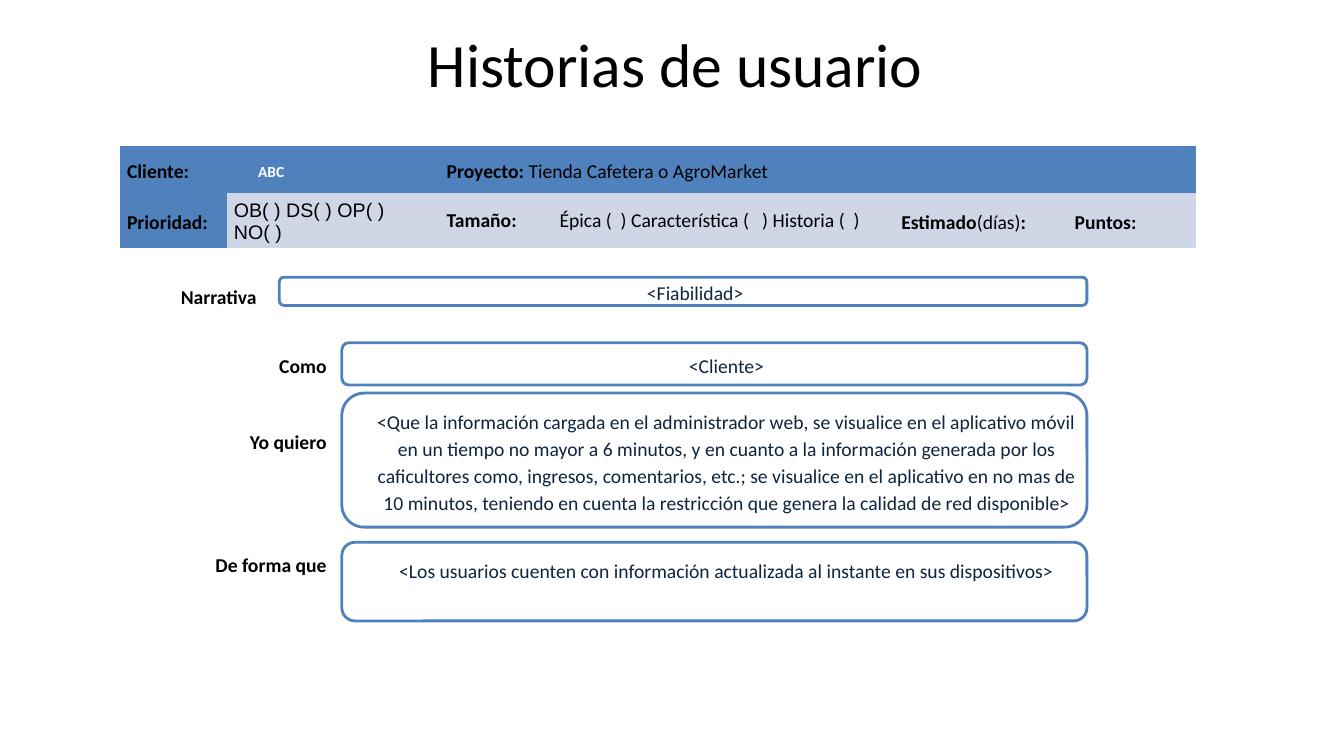
from dataclasses import dataclass

from pptx import Presentation
from pptx.dml.color import RGBColor
from pptx.enum.shapes import MSO_SHAPE
from pptx.enum.text import MSO_ANCHOR, PP_ALIGN
from pptx.oxml.ns import qn
from pptx.util import Inches, Pt

ROUND = MSO_SHAPE.ROUNDED_RECTANGLE
MIDDLE = MSO_ANCHOR.MIDDLE
LEFT, CENTER, RIGHT = PP_ALIGN.LEFT, PP_ALIGN.CENTER, PP_ALIGN.RIGHT
PLAIN_STYLE = "{2D5ABB26-0587-4C30-8999-92F81FD0307C}"
COLORS = {"black": "000000", "white": "FFFFFF", "navy": "0F243E",
          "blue": "4F81BD", "pale": "CFD7E7"}


@dataclass
class Run:
    text: str
    bold: bool = True
    size: int = 14
    color: str = "black"
    font: str = "Calibri"


@dataclass
class Cell:
    row: int
    col: int
    runs: list[Run]
    fill: str | None = None
    span: int = 1
    align: PP_ALIGN = LEFT
    spacing: float | None = 1.15
    indent: bool = False
    top: float = 0.02


@dataclass
class Box:
    left: float
    top: float
    height: float
    text: str
    bottom: float = 0


def paint(item, name: str) -> None:
    item.fill.solid()
    item.fill.fore_color.rgb = RGBColor.from_string(COLORS[name])


def write(frame, runs: list[Run], align: PP_ALIGN,
          spacing: float | None = None, indent: bool = False) -> None:
    par = frame.paragraphs[0]
    par.alignment = align
    if spacing:
        par.line_spacing = spacing
    if indent:
        props = par._p.get_or_add_pPr()
        props.set("marL", str(Inches(0.25)))
        props.set("indent", str(Inches(-0.01)))
    for part in runs:
        run = par.add_run()
        run.text = part.text
        run.font.name = part.font
        run.font.size = Pt(part.size)
        run.font.bold = part.bold
        run.font.color.rgb = RGBColor.from_string(COLORS[part.color])


def add_grid(slide, left: float, top: float, cols: list[float],
             rows: list[float], cells: list[Cell]) -> None:
    frame = slide.shapes.add_table(
        len(rows), len(cols), Inches(left), Inches(top),
        Inches(sum(cols)), Inches(sum(rows)))
    grid = frame.table
    grid.first_row = grid.horz_banding = False
    for style in frame._element.iter(qn("a:tableStyleId")):
        style.text = PLAIN_STYLE
    for col, width in zip(grid.columns, cols):
        col.width = Inches(width)
    for row, height in zip(grid.rows, rows):
        row.height = Inches(height)
    for spot in grid.iter_cells():
        spot.fill.background()
    for cell in cells:
        spot = grid.cell(cell.row, cell.col)
        if cell.span > 1:
            spot.merge(grid.cell(cell.row, cell.col + cell.span - 1))
        spot.vertical_anchor = MIDDLE
        spot.margin_left = spot.margin_right = Inches(0.07)
        spot.margin_top, spot.margin_bottom = Inches(cell.top), 0
        if cell.fill:
            paint(spot, cell.fill)
        write(spot.text_frame, cell.runs, cell.align, cell.spacing, cell.indent)


def add_box(slide, box: Box, right: float) -> None:
    shape = slide.shapes.add_shape(
        ROUND, Inches(box.left), Inches(box.top),
        Inches(right - box.left), Inches(box.height))
    shape.shadow.inherit = False
    paint(shape, "white")
    shape.line.color.rgb = RGBColor.from_string(COLORS["blue"])
    shape.line.width = Pt(2)
    frame = shape.text_frame
    frame.word_wrap = True
    frame.vertical_anchor = MIDDLE
    frame.margin_left = frame.margin_right = frame.margin_top = 0
    frame.margin_bottom = Inches(box.bottom)
    write(frame, [Run(box.text, False, color="navy")], CENTER, 1.15, True)


HEADER = [
    Cell(0, 0, [Run("Cliente:")], "blue"),
    Cell(0, 1, [Run("ABC", size=11, color="white")], "blue", indent=True),
    Cell(0, 2, [Run("Proyecto: "), Run("Tienda Cafetera o AgroMarket", False)],
         "blue", span=5),
    Cell(1, 0, [Run("Prioridad:")], "blue"),
    Cell(1, 1, [Run("OB( ) DS( ) OP( ) NO( )", False, font="Arial")],
         "pale", spacing=None),
    Cell(1, 2, [Run("Tamaño:")], "pale", spacing=None),
    Cell(1, 3, [Run("Épica (  ) Característica (   ) Historia (  )", False)],
         "pale", spacing=None),
    Cell(1, 4, [Run("Estimado"), Run("(días)", False), Run(":")], "pale"),
    Cell(1, 5, [Run("Puntos:")], "pale"),
    Cell(1, 6, [], "pale"),
]
LABELS = [
    Cell(0, 0, [Run("Narrativa")], align=CENTER),
    Cell(1, 0, [Run("Como")], span=2, align=RIGHT),
    Cell(2, 0, [Run("Yo quiero")], span=2, align=RIGHT),
    Cell(3, 0, [Run("De forma que")], span=2, align=RIGHT, top=0.29),
]
BOXES = [
    Box(2.77, 2.75, 0.28, "<Fiabilidad>"),
    Box(3.39, 3.4, 0.42, "<Cliente>"),
    Box(3.39, 3.9, 1.33,
        "<Que la información cargada en el administrador web, se visualice en "
        "el aplicativo móvil en un tiempo no mayor a 6 minutos, y en cuanto a "
        "la información generada por los caficultores como, ingresos, "
        "comentarios, etc.; se visualice en el aplicativo en no mas de 10 "
        "minutos, teniendo en cuenta la restricción que genera la calidad de "
        "red disponible>"),
    Box(3.39, 5.38, 0.78,
        "<Los usuarios cuenten con información actualizada al instante en sus "
        "dispositivos>", bottom=0.26),
]


def main() -> None:
    deck = Presentation()
    deck.slide_width, deck.slide_height = Inches(13.33), Inches(7.5)
    slide = deck.slides.add_slide(deck.slide_layouts[6])

    # Title
    title = slide.shapes.add_textbox(
        Inches(0.7), 0, Inches(12), Inches(1.25)).text_frame
    title.word_wrap = True
    title.vertical_anchor = MIDDLE
    write(title, [Run("Historias de usuario", False, 44)], CENTER)

    # Story labels and their boxes
    add_grid(slide, 1.58, 2.62, [1.18, 0.55, 7.7],
             [0.62, 0.75, 0.75, 1.43], LABELS)
    for box in BOXES:
        add_box(slide, box, right=10.78)

    # Project header
    add_grid(slide, 1.19, 1.45, [1.06, 2.11, 1.12, 3.39, 1.72, 0.81, 0.46],
             [0.46, 0.55], HEADER)
    deck.save("out.pptx")


if __name__ == "__main__":
    main()
